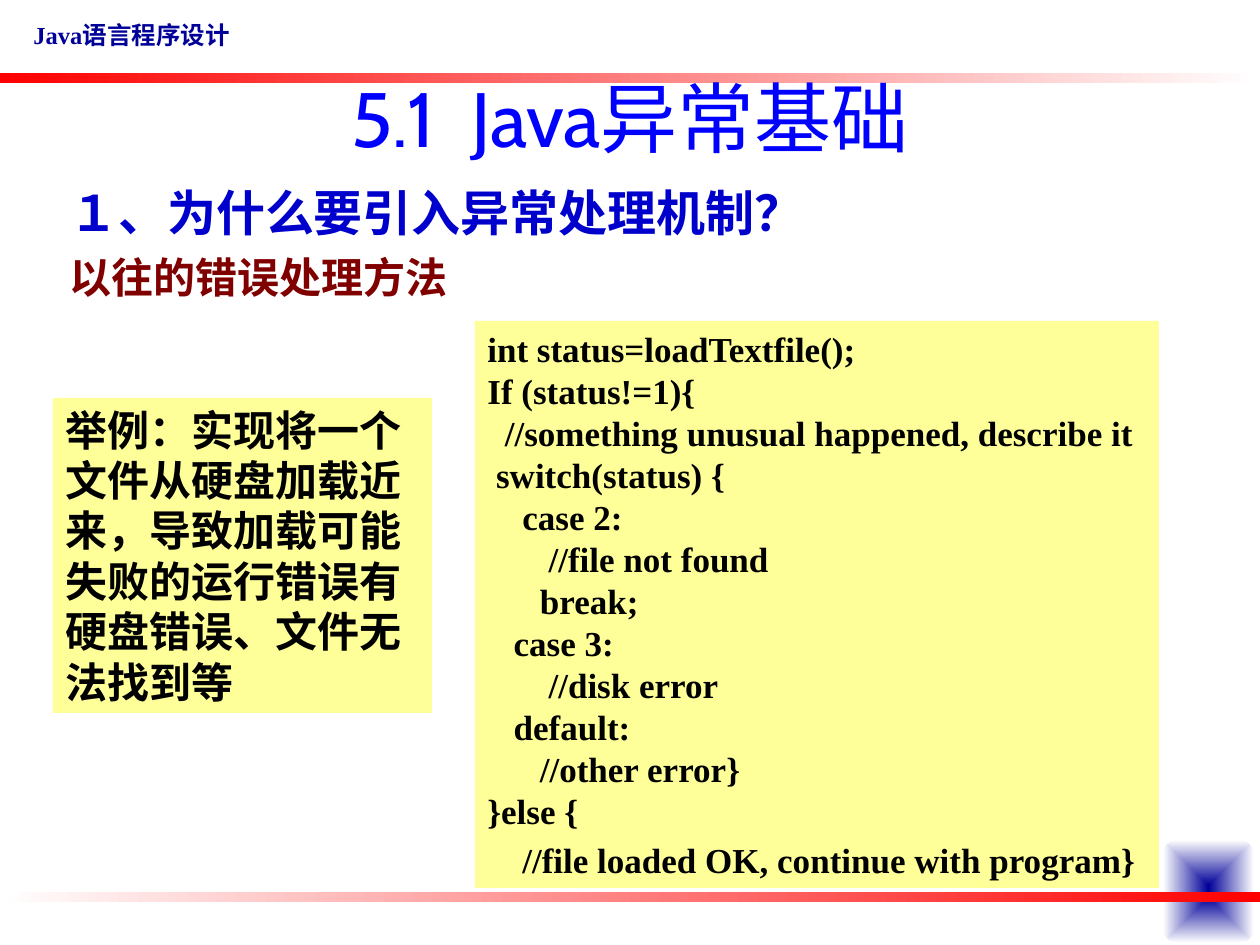
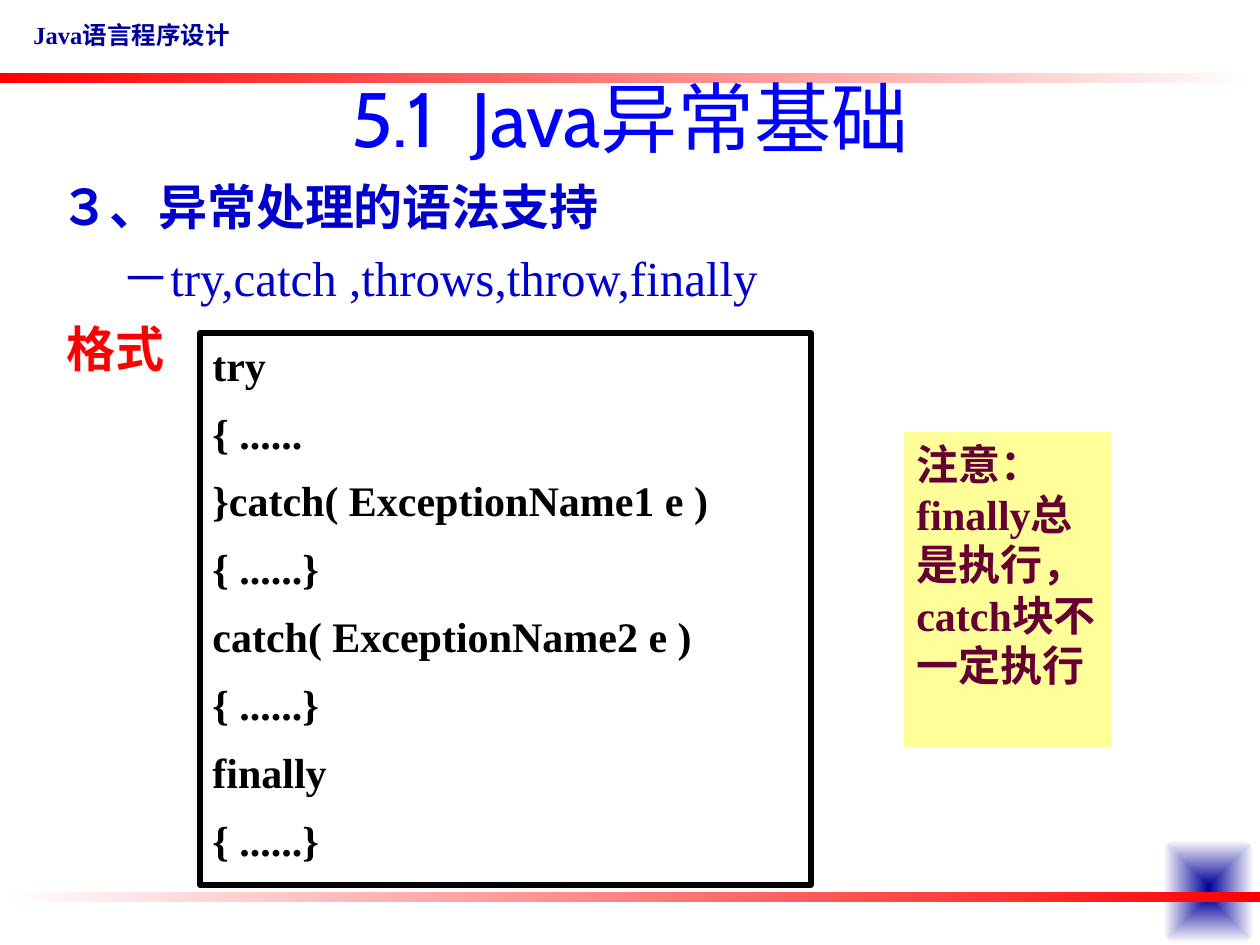
from dataclasses import dataclass

from lxml import etree
from pptx import Presentation
from pptx.dml.color import RGBColor
from pptx.enum.shapes import MSO_SHAPE
from pptx.enum.text import MSO_ANCHOR, PP_ALIGN
from pptx.oxml.ns import qn
from pptx.util import Emu, Pt

RECTANGLE = MSO_SHAPE.RECTANGLE
ROUNDED = MSO_SHAPE.ROUNDED_RECTANGLE
TOP, MIDDLE = MSO_ANCHOR.TOP, MSO_ANCHOR.MIDDLE
LEFT, CENTER = PP_ALIGN.LEFT, PP_ALIGN.CENTER
PX_PER_INCH = 126
SLIDE_W, SLIDE_H = 1260, 945


@dataclass(frozen=True)
class Theme:
    """Colours, fonts and type sizes shared by the slides."""

    navy: str = "000099"
    red: str = "FF0000"
    white: str = "FFFFFF"
    black: str = "000000"
    title: str = "0000FF"
    heading: str = "0000CC"
    maroon: str = "800000"
    plum: str = "660033"
    yellow: str = "FFFF99"
    title_font: str = "Cabin"
    body_font: str = "Times New Roman"
    title_size: int = 44
    heading_size: int = 28
    text_size: int = 24
    code_size: int = 20
    label_size: int = 14


THEME = Theme()

LOAD_CODE = """int status=loadTextfile();
If (status!=1){
  //something unusual happened, describe it
 switch(status) {
    case 2:
       //file not found
      break;
   case 3:
       //disk error
   default:
      //other error}
}else {
    //file loaded OK, continue with program}""".split("\n")

TRY_CODE = """try
{ ......
}catch( ExceptionName1 e )
{ ......}
catch( ExceptionName2 e )
{ ......}
finally
{ ......}""".split("\n")


def px(length):
    """Turn pixels into EMU."""
    return Emu(round(length * 914400 / PX_PER_INCH))


def rgb(color):
    """Turn a hex string into a colour."""
    return RGBColor.from_string(color)


def assign(target, values):
    """Set each named attribute of the target."""
    for name, value in values.items():
        setattr(target, name, value)


def write(shape, lines, color, size, bold=True, font=THEME.body_font,
          anchor=TOP, align=LEFT, before=0, after=0):
    """Write one paragraph per line in a single style."""
    frame = shape.text_frame
    assign(frame, {"word_wrap": True, "vertical_anchor": anchor})
    for index, line in enumerate(lines):
        paragraph = frame.paragraphs[0] if index == 0 else frame.add_paragraph()
        assign(paragraph, {"alignment": align, "space_after": Pt(after),
                           "space_before": Pt(before if index else 0)})
        run = paragraph.add_run()
        run.text = line
        assign(run.font, {"name": font, "size": Pt(size), "bold": bold})
        run.font.color.rgb = rgb(color)
    return frame


def add_label(slide, box, lines, color, size, **style):
    """Add unfilled text in a box."""
    return write(slide.shapes.add_textbox(*map(px, box)), lines, color, size, **style)


def add_block(slide, box, kind=RECTANGLE):
    """Add a plain shape with no shadow and no outline."""
    block = slide.shapes.add_shape(kind, *map(px, box))
    block.shadow.inherit = False
    block.line.fill.background()
    return block


def add_panel(slide, box, lines, color, size, fill=THEME.yellow, border=0, **style):
    """Add a filled panel of text, framed in black if a border is given."""
    panel = add_block(slide, box)
    panel.fill.solid()
    panel.fill.fore_color.rgb = rgb(fill)
    if border:
        panel.line.color.rgb = rgb(THEME.black)
        panel.line.width = Pt(border)
    return write(panel, lines, color, size, **style)


def add_gradient(slide, box, start, end, kind=RECTANGLE):
    """Add a block fading from left to right."""
    block = add_block(slide, box, kind)
    block.fill.gradient()
    block.fill.gradient_angle = 0
    for stop, color in zip(block.fill.gradient_stops, (start, end)):
        stop.color.rgb = rgb(color)
    return block


def add_corner_glow(slide, box):
    """Add the square that fades out from its centre."""
    glow = add_gradient(slide, box, THEME.navy, THEME.white, ROUNDED)
    linear = next(glow._element.iter(qn("a:lin")))
    radial = etree.Element(qn("a:path"), {"path": "rect"})
    etree.SubElement(radial, qn("a:fillToRect"), dict.fromkeys("ltrb", "50000"))
    linear.getparent().replace(linear, radial)


def add_title(slide, box):
    """Add the chapter title with a widened gap after its number."""
    frame = add_label(slide, box, ["5.1"], THEME.title, THEME.title_size, bold=False,
                      font=THEME.title_font, anchor=MIDDLE, align=CENTER)
    paragraph = frame.paragraphs[0]
    for words, spacing in ((" ", "1100"), ("Java异常基础", "0")):
        run = paragraph.add_run()
        run.text = words
        assign(run.font, {"name": THEME.title_font, "size": Pt(THEME.title_size),
                          "bold": False})
        run.font.color.rgb = rgb(THEME.title)
        run.font._element.set("spc", spacing)


def add_base(deck):
    """Add a slide with the shared header, bands and title."""
    slide = deck.slides.add_slide(deck.slide_layouts[6])
    add_corner_glow(slide, (1163, 840, 91, 103))
    add_label(slide, (21, 14, 233, 43), ["Java语言程序设计"], THEME.navy, THEME.label_size)
    add_gradient(slide, (0, 73, SLIDE_W, 10), THEME.red, THEME.white)
    add_gradient(slide, (0, 892, SLIDE_W, 10), THEME.white, THEME.red)
    add_title(slide, (63, 38, 1134, 158))
    return slide


def add_outline(slide, box, lines, before):
    """Add a section heading and its subheading."""
    frame = add_label(slide, box, lines, THEME.heading, THEME.heading_size, before=before)
    return frame.paragraphs[1]


def build_reason_slide(deck):
    """Build the slide on why exception handling is needed."""
    slide = add_base(deck)
    method = add_outline(slide, (57, 176, 1071, 140),
                         ["１、为什么要引入异常处理机制？", "以往的错误处理方法"], 6)
    method.runs[0].font.size = Pt(THEME.text_size)
    method.runs[0].font.color.rgb = rgb(THEME.maroon)
    code = add_panel(slide, (475, 321, 684, 567), LOAD_CODE, THEME.black, THEME.code_size)
    code.paragraphs[-1].space_before = Pt(4)
    add_panel(slide, (53, 398, 379, 315),
              ["举例：实现将一个文件从硬盘加载近来，导致加载可能失败的运行错误有硬盘错误、文件无法找到等"],
              THEME.black, THEME.text_size)


def build_syntax_slide(deck):
    """Build the slide on the syntax of exception handling."""
    slide = add_base(deck)
    keywords = add_outline(slide, (48, 170, 1180, 140),
                           ["３、异常处理的语法支持", "－try,catch ,throws,throw,finally"], 7)
    keywords.runs[0].font.bold = False
    keywords._p.get_or_add_pPr().set("marL", str(px(61)))
    add_label(slide, (54, 312, 140, 72), ["格式"], THEME.red, THEME.heading_size)
    add_panel(slide, (200, 333, 611, 552), TRY_CODE, THEME.black, THEME.text_size,
              fill=THEME.white, border=3, before=5, after=5)
    add_panel(slide, (904, 432, 207, 315), ["注意：finally总是执行，", "catch块不一定执行"],
              THEME.plum, THEME.text_size)


def main():
    """Build and save the deck."""
    deck = Presentation()
    assign(deck, {"slide_width": px(SLIDE_W), "slide_height": px(SLIDE_H)})
    build_reason_slide(deck)
    build_syntax_slide(deck)
    deck.save("out.pptx")


if __name__ == "__main__":
    main()
